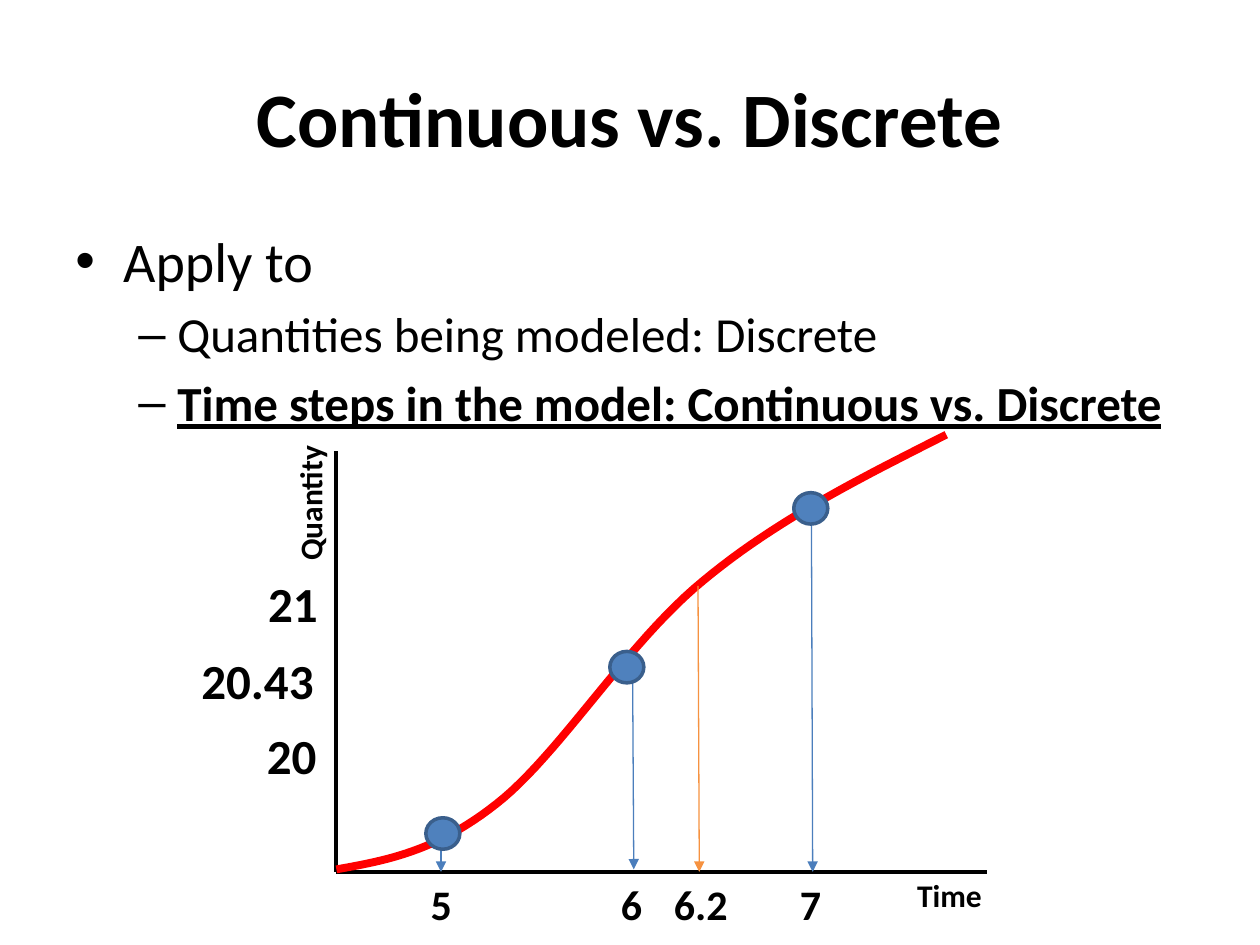
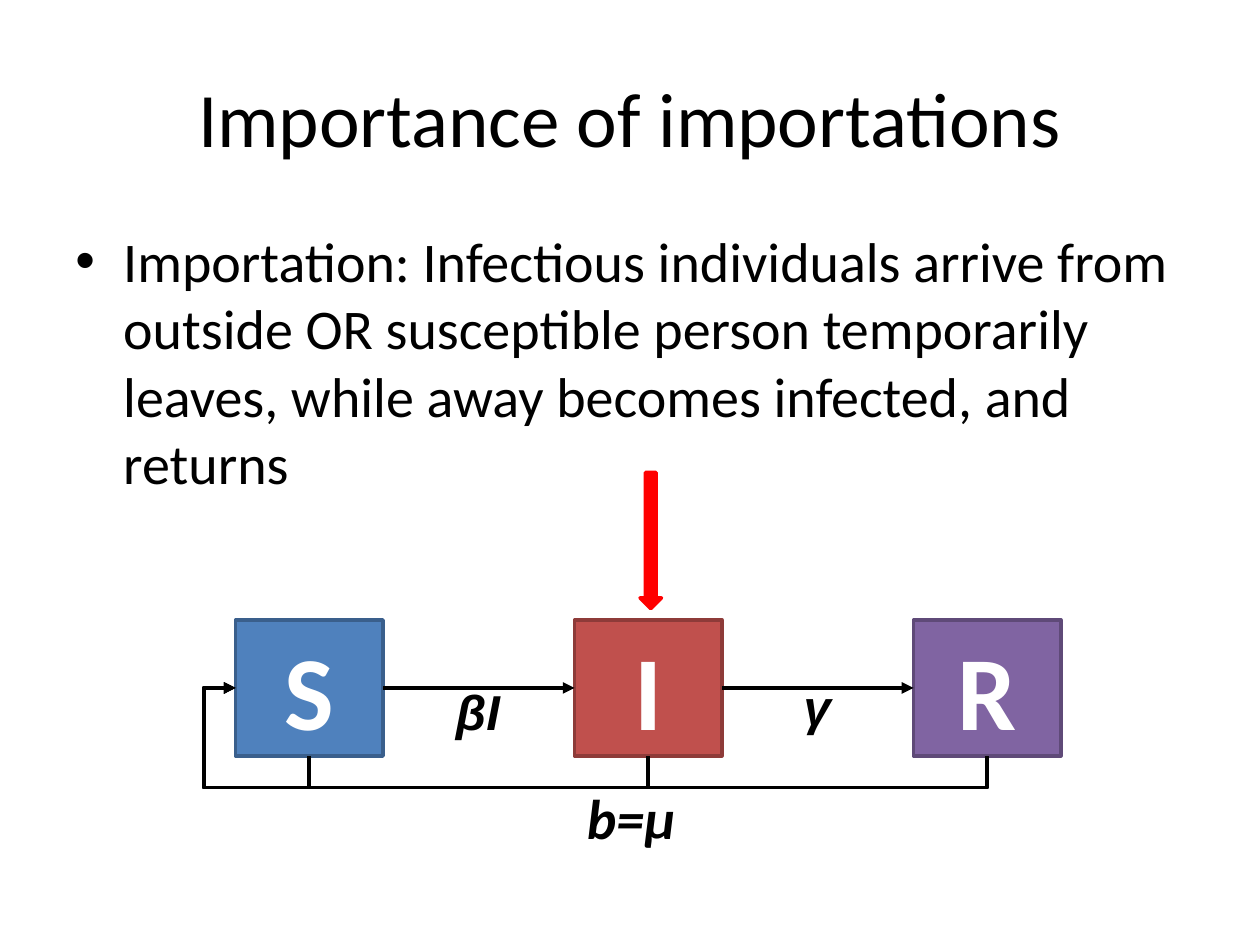
from dataclasses import dataclass

from lxml import etree
from pptx import Presentation
from pptx import util as u
from pptx.dml.color import RGBColor
from pptx.enum import shapes, text
from pptx.oxml.ns import qn


@dataclass(frozen=True)
class Theme:
    font: str = "Calibri"
    greek_font: str = "Arial"
    ink: str = "000000"
    white: str = "FFFFFF"
    red: str = "FF0000"
    blue: str = "4F81BD"
    blue_edge: str = "3A5F8C"
    brick: str = "C0504D"
    brick_edge: str = "8E3B39"
    purple: str = "8064A2"
    purple_edge: str = "5F4A78"
    drop_blue: str = "4B7EBC"
    drop_orange: str = "F69240"
    title: int = 44
    body: tuple = (32, 28)
    state: int = 60
    rate: int = 28
    tick: int = 24
    axis: int = 18
    heavy: float = 2.25
    edge: float = 2
    thin: float = 0.75


THEME = Theme()
BULLETS = (("•", 0.38, 0.38), ("–", 0.81, 0.31))

TITLES = (("Continuous vs. Discrete", True), ("Importance of importations", False))
CHART_POINTS = [
    (0, "Apply to", False),
    (1, "Quantities being modeled: Discrete", False),
    (1, "Time steps in the model: Continuous vs. Discrete", True),
]
IMPORT_POINTS = [
    (0, "Importation: Infectious individuals arrive from outside OR susceptible person "
        "temporarily leaves, while away becomes infected, and returns", False),
]

ORIGIN = (2.67, 6.92)
AXIS_ENDS = [(2.67, 3.58), (7.83, 6.92)]
AXIS_NAMES = [("Quantity", 1.81, 3.7, 270), ("Time", 7.18, 6.9, 0)]
LEVELS = [("21", 2.03, 4.5), ("20.43", 1.5, 5.11), ("20", 2.02, 5.71)]
TICKS = [("5", 3.32, 0.37), ("6", 4.83, 0.37), ("6.2", 5.25, 0.63), ("7", 6.25, 0.37)]
DROPS = [
    ((3.5, 6.66), (3.5, 6.92), THEME.drop_blue),
    ((5.02, 5.18), (5.03, 6.9), THEME.drop_blue),
    ((6.44, 4.06), (6.45, 6.92), THEME.drop_blue),
    ((5.54, 4.65), (5.55, 6.92), THEME.drop_orange),
]
DOTS = [(3.38, 6.49), (4.84, 5.17), (6.3, 3.91)]
DOT_SIZE = (0.27, 0.25)
GROWTH = [(2.67, 6.9), (3.06, 6.83), (3.46, 6.76), (3.94, 6.38), (4.43, 6), (4.98, 5.1),
          (5.58, 4.61), (6.17, 4.12), (6.84, 3.79), (7.51, 3.45)]
CURVE_STEPS = 24

STATES = [
    ("S", THEME.blue, THEME.blue_edge),
    ("I", THEME.brick, THEME.brick_edge),
    ("R", THEME.purple, THEME.purple_edge),
]
STATE_LEFT, STATE_TOP, STATE_PITCH = 1.87, 4.92, 2.69
STATE_SIZE = (1.17, 1.08)
RATES = [("βI", 3.52, 5.36, 0.55), ("γ", 6.28, 5.32, 0.42)]
LOOP_GAP = 0.25


def color(value):
    return RGBColor.from_string(value)


def inches(*values):
    return [u.Inches(value) for value in values]


def write(para, words, size=18, bold=False, italic=False, underline=False,
          ink=THEME.ink, font=THEME.font, align=text.PP_ALIGN.LEFT):
    para.alignment = align
    span = para.add_run()
    span.text = words
    span.font.name, span.font.size = font, u.Pt(size)
    span.font.bold, span.font.italic, span.font.underline = bold, italic, underline
    span.font.color.rgb = color(ink)


def add_text(page, words, left, top, width, height, wrap=True, rotation=0,
             anchor=text.MSO_ANCHOR.TOP, **style):
    box = page.shapes.add_textbox(*inches(left, top, width, height))
    box.rotation = rotation
    box.text_frame.word_wrap = wrap
    box.text_frame.vertical_anchor = anchor
    write(box.text_frame.paragraphs[0], words, **style)


def add_body(page, points):
    frame = page.shapes.add_textbox(*inches(0.5, 1.75, 9, 4.95)).text_frame
    frame.word_wrap = True
    for index, (level, words, strong) in enumerate(points):
        para = frame.add_paragraph() if index else frame.paragraphs[0]
        mark, margin, hang = BULLETS[level]
        size = THEME.body[level]
        para.level = level
        para.space_before = u.Pt(0.2 * size if index else 0)
        settings = para._p.get_or_add_pPr()
        settings.set("marL", str(u.Inches(margin)))
        settings.set("indent", str(-u.Inches(hang)))
        etree.SubElement(settings, qn("a:buFont")).set("typeface", "Arial")
        etree.SubElement(settings, qn("a:buChar")).set("char", mark)
        write(para, words, size=size, bold=strong, underline=strong)


def add_page(deck, heading, points):
    page = deck.slides.add_slide(deck.slide_layouts[6])
    words, bold = heading
    add_text(page, words, 0.5, 0.3, 9, 1.25, anchor=text.MSO_ANCHOR.MIDDLE,
             size=THEME.title, bold=bold, align=text.PP_ALIGN.CENTER)
    add_body(page, points)
    return page


def add_line(page, start, end, ink=THEME.ink, width=THEME.heavy, arrow=False,
             kind=shapes.MSO_CONNECTOR.STRAIGHT):
    line = page.shapes.add_connector(kind, *inches(*start, *end))
    line.line.color.rgb = color(ink)
    line.line.width = u.Pt(width)
    if arrow:
        etree.SubElement(line.line._get_or_add_ln(), qn("a:tailEnd")).set("type", "triangle")
    etree.SubElement(line._element.spPr, qn("a:effectLst"))
    return line


def add_figure(page, kind, left, top, size, fill, edge):
    figure = page.shapes.add_shape(kind, *inches(left, top, *size))
    figure.shadow.inherit = False
    figure.fill.solid()
    figure.fill.fore_color.rgb = color(fill)
    figure.line.color.rgb = color(edge)
    figure.line.width = u.Pt(THEME.edge)
    return figure


def bezier(controls, t):
    weights = ((1 - t) ** 3, 3 * t * (1 - t) ** 2, 3 * t * t * (1 - t), t ** 3)
    return tuple(sum(w * point[axis] for w, point in zip(weights, controls)) for axis in (0, 1))


def add_curve(page):
    points = [bezier(GROWTH[first:first + 4], step / CURVE_STEPS)
              for first in range(0, len(GROWTH) - 1, 3)
              for step in range(1, CURVE_STEPS + 1)]
    builder = page.shapes.build_freeform(*inches(*GROWTH[0]))
    builder.add_line_segments([inches(*point) for point in points], close=False)
    curve = builder.convert_to_shape()
    curve.shadow.inherit = False
    curve.fill.background()
    curve.line.color.rgb = color(THEME.red)
    curve.line.width = u.Pt(4.5)


def add_loop(page, source, target):
    elbow = shapes.MSO_CONNECTOR.ELBOW
    loop = add_line(page, (1, 1), (2, 2), arrow=True, kind=elbow)
    loop.begin_connect(source, 2)
    loop.end_connect(target, 1)
    start_x, start_y = source.left + source.width // 2, source.top + source.height
    end_x, end_y = target.left, target.top + target.height // 2
    run, rise, gap = start_x - end_x, start_y - end_y, u.Inches(LOOP_GAP)
    loop.left, loop.top = (start_x + end_x - rise) // 2, (start_y + end_y - run) // 2
    loop.width, loop.height = rise, run
    frame = loop._element.spPr.find(qn("a:xfrm"))
    for name, value in (("rot", "5400000"), ("flipH", "1"), ("flipV", "0")):
        frame.set(name, value)
    geometry = loop._element.spPr.find(qn("a:prstGeom"))
    geometry.set("prst", "bentConnector4")
    guides = geometry.find(qn("a:avLst"))
    for name, ratio in (("adj1", -gap / rise), ("adj2", (run + gap) / run)):
        guide = etree.SubElement(guides, qn("a:gd"))
        guide.set("name", name)
        guide.set("fmla", f"val {round(ratio * 100000)}")


def build_growth_page(deck):
    page = add_page(deck, TITLES[0], CHART_POINTS)
    for end in AXIS_ENDS:
        add_line(page, end, ORIGIN)
    for words, left, top, rotation in AXIS_NAMES:
        add_text(page, words, left, top, 1.3, 0.4, rotation=rotation, size=THEME.axis, bold=True)
    add_curve(page)
    for words, left, top in LEVELS:
        add_text(page, words, left, top, 1.3, 0.57, size=THEME.rate, bold=True)
    for words, left, width in TICKS:
        add_text(page, words, left, ORIGIN[1], width, 0.5, wrap=False, size=THEME.tick, bold=True)
    for start, end, ink in DROPS:
        add_line(page, start, end, ink=ink, width=THEME.thin, arrow=True)
    for left, top in DOTS:
        add_figure(page, shapes.MSO_SHAPE.OVAL, left, top, DOT_SIZE, THEME.blue, THEME.blue_edge)


def build_import_page(deck):
    page = add_page(deck, TITLES[1], IMPORT_POINTS)
    boxes = []
    for index, (words, fill, edge) in enumerate(STATES):
        box = add_figure(page, shapes.MSO_SHAPE.RECTANGLE, STATE_LEFT + index * STATE_PITCH,
                         STATE_TOP, STATE_SIZE, fill, edge)
        box.text_frame.vertical_anchor = text.MSO_ANCHOR.MIDDLE
        write(box.text_frame.paragraphs[0], words, size=THEME.state, bold=True,
              ink=THEME.white, align=text.PP_ALIGN.CENTER)
        boxes.append(box)
    for source, target in zip(boxes, boxes[1:]):
        flow = add_line(page, (1, 1), (2, 2), arrow=True)
        flow.begin_connect(source, 3)
        flow.end_connect(target, 1)
    for words, left, top, width in RATES:
        add_text(page, words, left, top, width, 0.57, wrap=False, size=THEME.rate,
                 bold=True, italic=True, font=THEME.greek_font)
    for box in boxes:
        add_loop(page, box, boxes[0])
    add_text(page, "b=μ", 4.56, 6.17, 3.17, 0.64, size=THEME.body[0], bold=True, italic=True)
    add_figure(page, shapes.MSO_SHAPE.DOWN_ARROW, 5.08, 3.75, (0.17, 1.08), THEME.red, THEME.red)


def main():
    deck = Presentation()
    deck.slide_width, deck.slide_height = inches(10, 7.5)
    build_growth_page(deck)
    build_import_page(deck)
    deck.save("out.pptx")


if __name__ == "__main__":
    main()
